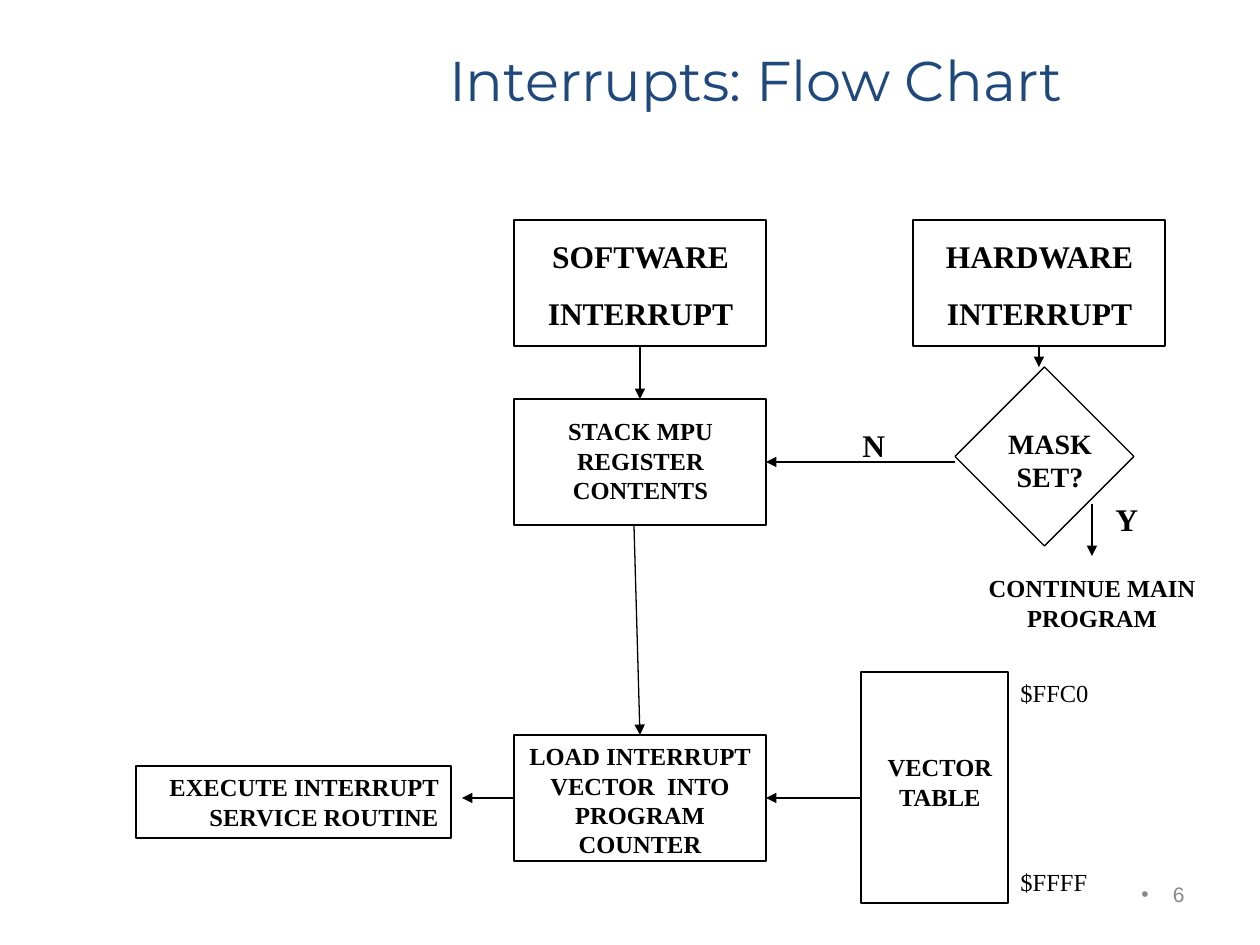
from lxml.etree import SubElement
from pptx import Presentation
from pptx.dml.color import RGBColor
from pptx.enum.shapes import MSO_CONNECTOR, MSO_SHAPE
from pptx.enum.text import MSO_ANCHOR, PP_ALIGN
from pptx.oxml.ns import qn
from pptx.util import Emu, Inches, Pt

BLACK = RGBColor(0x00, 0x00, 0x00)
WHITE = RGBColor(0xFF, 0xFF, 0xFF)
NAVY = RGBColor(0x1F, 0x49, 0x7D)
GRAY = RGBColor(0x89, 0x89, 0x89)
SERIF = "Times New Roman"
LEFT, CENTER, RIGHT = PP_ALIGN.LEFT, PP_ALIGN.CENTER, PP_ALIGN.RIGHT
TOP_SIDE, LEFT_SIDE, BOTTOM_SIDE, RIGHT_SIDE = range(4)

TITLE = ("Interrupts: Flow Chart", (315, 21, 882, 116))
PAGE_NUMBER = ("6", (903, 861, 294, 66))

# name: (preset, (left, top, width, height), fill)
NODES = {
    "software": (MSO_SHAPE.RECTANGLE, (514, 220, 252, 126), None),
    "stack": (MSO_SHAPE.RECTANGLE, (514, 399, 252, 126), None),
    "load": (MSO_SHAPE.RECTANGLE, (514, 735, 252, 126), None),
    "table": (MSO_SHAPE.RECTANGLE, (861, 672, 147, 231), None),
    "hardware": (MSO_SHAPE.RECTANGLE, (913, 220, 252, 126), None),
    "mask": (MSO_SHAPE.DIAMOND, (955, 367, 179, 179), None),
    "execute": (MSO_SHAPE.RECTANGLE, (136, 766, 315, 72), WHITE),
}

# from, to, (node, side) joined at the start, (node, side) joined at the end
ARROWS = [
    ((640, 346), (640, 399), ("software", BOTTOM_SIDE), ("stack", TOP_SIDE)),
    ((634, 525), (640, 735), None, ("load", TOP_SIDE)),
    ((955, 462), (766, 462), None, ("stack", RIGHT_SIDE)),
    ((861, 798), (766, 798), None, ("load", RIGHT_SIDE)),
    ((514, 798), (462, 798), ("load", LEFT_SIDE), None),
    ((1039, 346), (1039, 367), ("hardware", BOTTOM_SIDE), None),
    ((1092, 504), (1092, 556), None, None),
]

# paragraphs, (left, top, width, height), size, alignment, bold
LABELS = [
    (["SOFTWARE", "INTERRUPT"], (525, 231, 231, 108), 18, CENTER, True),
    (["HARDWARE", "INTERRUPT"], (924, 231, 231, 108), 18, CENTER, True),
    (["STACK MPU REGISTER CONTENTS"], (525, 410, 231, 101), 14, CENTER, True),
    (["LOAD INTERRUPT VECTOR  INTO PROGRAM COUNTER"], (514, 735, 252, 131), 14, CENTER, True),
    (["VECTOR TABLE"], (872, 746, 136, 72), 14, CENTER, True),
    (["MASK SET?"], (987, 420, 126, 81), 16, CENTER, True),
    (["N"], (850, 420, 63, 50), 18, LEFT, True),
    (["Y"], (1103, 494, 63, 50), 18, LEFT, True),
    (["CONTINUE MAIN PROGRAM"], (945, 567, 294, 72), 14, CENTER, True),
    (["$FFC0"], (1008, 672, 116, 43), 14, LEFT, False),
    (["$FFFF"], (1008, 861, 116, 43), 14, LEFT, False),
]
EXECUTE_TEXT = ["EXECUTE INTERRUPT SERVICE ROUTINE"]


def px(*lengths):
    """Turn lengths at 126 px to the inch into EMU."""
    return [Emu(round(length * 914400 / 126)) for length in lengths]


def write(shape, lines, size, align, bold=False, font=SERIF, color=BLACK,
          anchor=MSO_ANCHOR.TOP, space=None):
    frame = shape.text_frame
    frame.word_wrap = True
    frame.vertical_anchor = anchor
    for index, line in enumerate(lines):
        para = frame.paragraphs[0] if index == 0 else frame.add_paragraph()
        para.alignment = align
        para.space_before = Pt(size * 0.6 if space is None else space)
        span = para.add_run()
        span.text = line
        span.font.size = Pt(size)
        span.font.bold = bold
        span.font.name = font
        span.font.color.rgb = color


def add_node(page, preset, place, fill):
    node = page.shapes.add_shape(preset, *px(*place))
    node.shadow.inherit = False
    if fill is None:
        node.fill.background()
    else:
        node.fill.solid()
        node.fill.fore_color.rgb = fill
    node.line.color.rgb = BLACK
    node.line.width = Pt(0.75)
    return node


def add_arrow(page, nodes, start, end, start_join, end_join):
    arrow = page.shapes.add_connector(MSO_CONNECTOR.STRAIGHT, *px(*start, *end))
    if start_join:
        arrow.begin_connect(nodes[start_join[0]], start_join[1])
    if end_join:
        arrow.end_connect(nodes[end_join[0]], end_join[1])
    arrow.line.color.rgb = BLACK
    arrow.line.width = Pt(0.75)
    SubElement(arrow.line._get_or_add_ln(), qn("a:tailEnd"), type="triangle")
    SubElement(arrow._element.spPr, qn("a:effectLst"))


def add_bullet(para, color):
    properties = para._p.get_or_add_pPr()
    indent = Inches(0.25)
    properties.set("marL", str(indent))
    properties.set("indent", str(-indent))
    bullet_color = SubElement(properties, qn("a:buClr"))
    SubElement(bullet_color, qn("a:srgbClr"), val=str(color))
    SubElement(properties, qn("a:buFont"), typeface="Arial")
    SubElement(properties, qn("a:buChar"), char="•")


def main():
    deck = Presentation()
    deck.slide_width, deck.slide_height = px(1260, 945)
    page = deck.slides.add_slide(deck.slide_layouts[5])

    text, place = TITLE
    title = page.shapes.title
    title.left, title.top, title.width, title.height = px(*place)
    write(title, [text], 32, CENTER, font="Montserrat", color=NAVY,
          anchor=MSO_ANCHOR.MIDDLE, space=0)

    text, place = PAGE_NUMBER
    number = page.shapes.add_textbox(*px(*place))
    write(number, [text], 12, RIGHT, font="Arial", color=GRAY,
          anchor=MSO_ANCHOR.MIDDLE, space=3)
    add_bullet(number.text_frame.paragraphs[0], GRAY)

    nodes = {name: add_node(page, *node) for name, node in NODES.items()}
    write(nodes["execute"], EXECUTE_TEXT, 14, RIGHT, bold=True)
    for arrow in ARROWS:
        add_arrow(page, nodes, *arrow)
    for lines, place, size, align, bold in LABELS:
        write(page.shapes.add_textbox(*px(*place)), lines, size, align, bold)

    deck.save("out.pptx")


if __name__ == "__main__":
    main()
